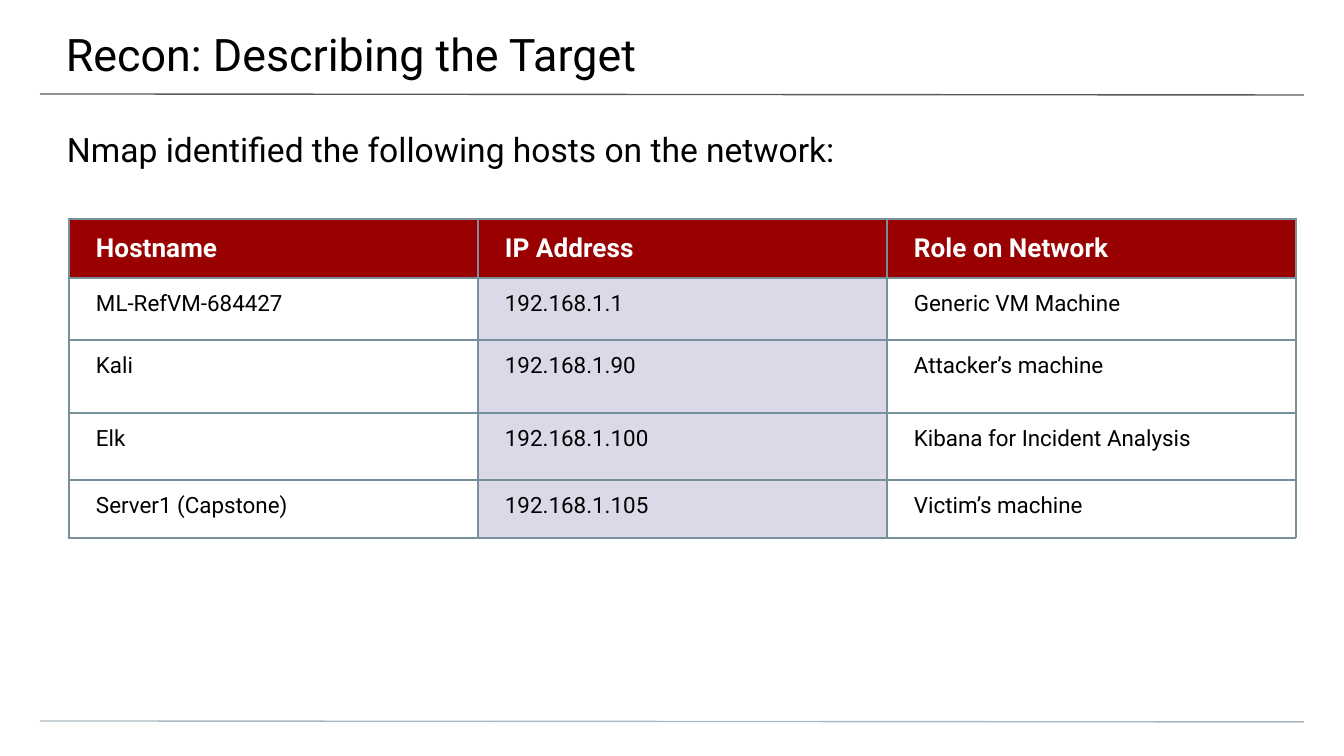
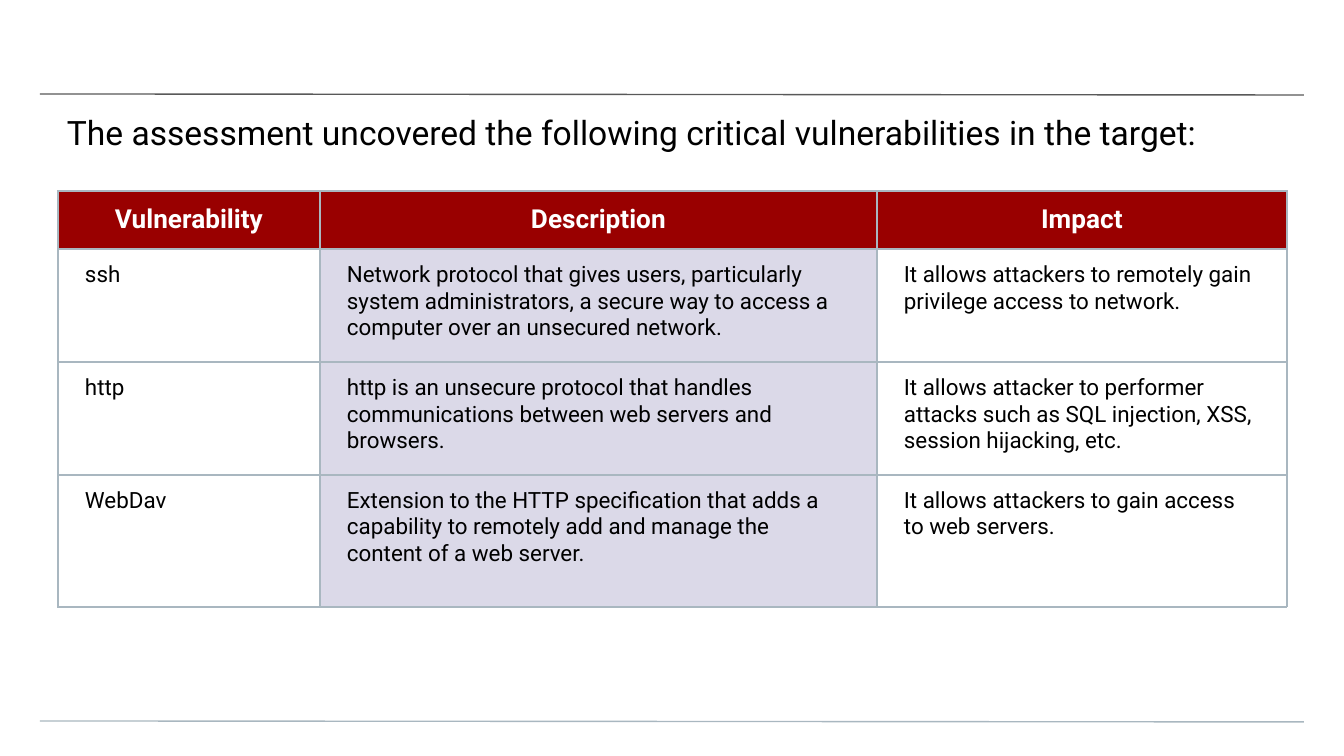
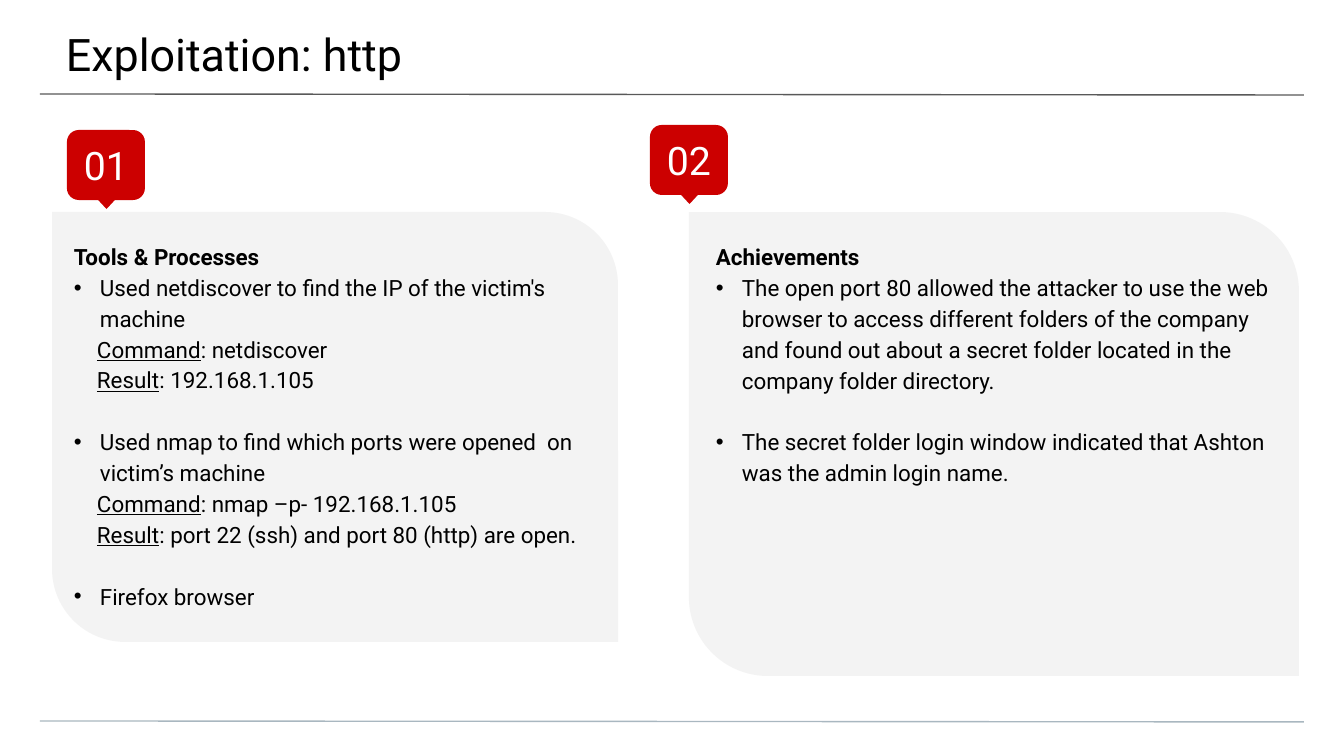
from lxml.etree import SubElement
from pptx import Presentation
from pptx.dml.color import RGBColor
from pptx.enum.shapes import MSO_CONNECTOR, MSO_SHAPE
from pptx.enum.text import MSO_ANCHOR, MSO_AUTO_SIZE, PP_ALIGN
from pptx.oxml.ns import qn
from pptx.util import Emu, Pt

PX = 914400 / 134.4
FONT = "Roboto"
BLACK = RGBColor(0x00, 0x00, 0x00)
WHITE = RGBColor(0xFF, 0xFF, 0xFF)
RULE_DARK = RGBColor(0x59, 0x59, 0x59)
RULE_LIGHT = RGBColor(0xA9, 0xB7, 0xC0)
GRID_DARK = RGBColor(0x78, 0x90, 0x9C)
HEADER_RED = RGBColor(0x99, 0x00, 0x00)
BADGE_RED = RGBColor(0xCC, 0x00, 0x00)
LILAC = RGBColor(0xDB, 0xD9, 0xE8)
CARD_GREY = RGBColor(0xF3, 0xF3, 0xF3)

TITLE_INSETS = (67, 27, 40, 13)
SUBTITLE_INSETS = (67, 13, 67, 0)
CELL_INSETS = (27, 13, 27, 13)
CARD_INSETS = (27, 27, 27, 27)
BADGE_INSETS = (13, 13, 13, 13)

TITLE = {"size": Pt(24)}
SUBTITLE = {"size": Pt(18)}
HEADER = {"size": Pt(14), "bold": True}
BODY = {"size": Pt(12), "bold": False}
HEADING = {"size": Pt(12), "bold": True}
LABEL = {"size": Pt(12), "underline": True}
BADGE = {"size": Pt(21)}

BULLET_INDENT = 26
DETAIL_INDENT = 23
BULLET_GAP = Pt(16.5)


def px(*values):
    return [Emu(round(v * PX)) for v in values]


def set_all(obj, values):
    for name, value in values.items():
        setattr(obj, name, value)


def set_frame(obj, insets, **extra):
    sides = ("margin_left", "margin_top", "margin_right", "margin_bottom")
    set_all(obj, dict(zip(sides, px(*insets)), word_wrap=True, **extra))


def add_run(p, text, fmt, color=BLACK):
    r = p.add_run()
    r.text = text
    set_all(r.font, {"name": FONT, **fmt})
    r.font.color.rgb = color


def write(tf, text, fmt, color=BLACK, align=PP_ALIGN.LEFT):
    for i, line in enumerate(text.split("\n")):
        p = tf.add_paragraph() if i else tf.paragraphs[0]
        p.alignment = align
        add_run(p, line, fmt, color)


def add_box(slide, box, insets):
    tf = slide.shapes.add_textbox(*px(*box)).text_frame
    set_frame(tf, insets, auto_size=MSO_AUTO_SIZE.NONE,
              vertical_anchor=MSO_ANCHOR.TOP)
    return tf


def add_rule(slide, y, color):
    line = slide.shapes.add_connector(
        MSO_CONNECTOR.STRAIGHT, *px(40, y, 1304, y + 1))
    line.line.color.rgb = color
    line.line.width = Pt(0.75)
    SubElement(line._element.spPr, qn("a:effectLst"))


def add_slide(prs, title=None):
    slide = prs.slides.add_slide(prs.slide_layouts[6])
    add_rule(slide, 94, RULE_DARK)
    add_rule(slide, 721, RULE_LIGHT)
    if title:
        write(add_box(slide, (-1, 0, 1348, 78), TITLE_INSETS), title, TITLE)
    return slide


def add_subtitle(slide, top, text):
    write(add_box(slide, (0, top, 1344, 54), SUBTITLE_INSETS), text, SUBTITLE)


def set_borders(cell, color):
    tc_pr = cell._tc.get_or_add_tcPr()
    for side in ("lnL", "lnR", "lnT", "lnB"):
        ln = SubElement(tc_pr, qn(f"a:{side}"), w=str(Pt(0.75)))
        fill = SubElement(ln, qn("a:solidFill"))
        SubElement(fill, qn("a:srgbClr"), val=str(color))


def add_grid(slide, left, top, widths, heights, rows, border, header_align):
    box = px(left, top, sum(widths), sum(heights))
    table = slide.shapes.add_table(len(rows), len(widths), *box).table
    set_all(table, {"first_row": False, "horz_banding": False})
    for col, width in zip(table.columns, px(*widths)):
        col.width = width
    for row, height in zip(table.rows, px(*heights)):
        row.height = height
    for i, texts in enumerate(rows):
        for j, text in enumerate(texts):
            cell = table.cell(i, j)
            set_borders(cell, border)
            anchor = MSO_ANCHOR.TOP if i else MSO_ANCHOR.MIDDLE
            set_frame(cell, CELL_INSETS, vertical_anchor=anchor)
            fill = LILAC if j == 1 else None
            if i == 0:
                fill = HEADER_RED
                write(cell.text_frame, text, HEADER, WHITE, header_align)
            else:
                write(cell.text_frame, text, BODY)
            if fill is None:
                cell.fill.background()
            else:
                cell.fill.solid()
                cell.fill.fore_color.rgb = fill


def add_filled(shapes, kind, box, color):
    sp = shapes.add_shape(kind, *px(*box))
    sp.shadow.inherit = False
    sp.fill.solid()
    sp.fill.fore_color.rgb = color
    sp.line.fill.background()
    return sp


def add_badge(slide, left, top, number):
    shapes = slide.shapes.add_group_shape().shapes
    sp = add_filled(shapes, MSO_SHAPE.ROUNDED_RECTANGLE,
                    (left, top, 78, 70), BADGE_RED)
    sp.adjustments[0] = 0.17
    set_frame(sp.text_frame, BADGE_INSETS, vertical_anchor=MSO_ANCHOR.MIDDLE)
    write(sp.text_frame, number, BADGE, WHITE, PP_ALIGN.CENTER)
    pointer = add_filled(shapes, MSO_SHAPE.FLOWCHART_EXTRACT,
                         (left + 20, top + 58, 39, 21), BADGE_RED)
    pointer.rotation = 180


def set_indent(p, left, first=0):
    left, first = px(left, first)
    p_pr = p._p.get_or_add_pPr()
    p_pr.set("marL", str(left))
    p_pr.set("indent", str(first))
    return p_pr


def add_bullet(p):
    p_pr = set_indent(p, BULLET_INDENT, -BULLET_INDENT)
    color = SubElement(p_pr, qn("a:buClr"))
    SubElement(color, qn("a:srgbClr"), val=str(BLACK))
    SubElement(p_pr, qn("a:buFont"), typeface="Arial")
    SubElement(p_pr, qn("a:buChar"), char="•")


def add_card(slide, shape_box, text_box, heading, items):
    sp = add_filled(slide.shapes, MSO_SHAPE.ROUND_2_DIAG_RECTANGLE,
                    shape_box, CARD_GREY)
    sp.adjustments[0] = 0
    sp.adjustments[1] = 0.17
    tf = add_box(slide, text_box, CARD_INSETS)
    write(tf, heading, HEADING)
    for i, (text, details) in enumerate(items):
        p = tf.add_paragraph()
        add_bullet(p)
        if i:
            p.space_before = BULLET_GAP
        add_run(p, text, BODY)
        for label, value in details:
            p = tf.add_paragraph()
            set_indent(p, DETAIL_INDENT)
            add_run(p, label, LABEL)
            add_run(p, f": {value}", BODY)
    for p in tf.paragraphs:
        p.line_spacing = 1.15


def build_recon(prs):
    slide = add_slide(prs, "Recon: Describing the Target")
    add_subtitle(slide, 116, "Nmap identified the following hosts on the network:")
    hosts = [
        ("Hostname", "IP Address", "Role on Network"),
        ("ML-RefVM-684427", "192.168.1.1", "Generic VM Machine"),
        ("Kali", "192.168.1.90", "Attacker’s machine"),
        ("Elk", "192.168.1.100", "Kibana for Incident Analysis"),
        ("Server1 (Capstone)", "192.168.1.105", "Victim’s machine"),
    ]
    add_grid(slide, 69, 219, [409] * 3, [59, 62, 73, 67, 58], hosts,
             GRID_DARK, PP_ALIGN.LEFT)


def build_vulnerabilities(prs):
    slide = add_slide(prs)
    add_subtitle(slide, 99, "The assessment uncovered the following critical "
                 "vulnerabilities in the target:")
    vulnerabilities = [
        ("Vulnerability", "Description", "Impact"),
        ("ssh",
         "Network protocol that gives users, particularly system "
         "administrators, a secure way to access a computer over an "
         "unsecured network.",
         "It allows attackers to remotely gain privilege access to network."),
        ("http",
         "http is an unsecure protocol that handles\n"
         "communications between web servers and browsers.",
         "It allows attacker to performer attacks such as SQL injection, "
         "XSS, session hijacking, etc."),
        ("WebDav",
         "Extension to the HTTP specification that adds a capability to "
         "remotely add and manage the content of a web server.",
         "It allows attackers to gain access to web servers."),
    ]
    add_grid(slide, 58, 191, [262, 557, 410], [58, 113, 113, 132],
             vulnerabilities, RULE_LIGHT, PP_ALIGN.CENTER)


def build_exploitation(prs):
    slide = add_slide(prs, "Exploitation: http")
    tools = [
        ("Used netdiscover to find the IP of the victim's machine",
         [("Command", "netdiscover"), ("Result", "192.168.1.105")]),
        ("Used nmap to find which ports were opened  on victim’s machine",
         [("Command", "nmap –p- 192.168.1.105"),
          ("Result", "port 22 (ssh) and port 80 (http) are open.")]),
        ("Firefox browser", []),
    ]
    achievements = [
        ("The open port 80 allowed the attacker to use the web browser to "
         "access different folders of the company and found out about a "
         "secret folder located in the company folder directory.", []),
        ("The secret folder login window indicated that Ashton was the "
         "admin login name.", []),
    ]
    add_card(slide, (52, 212, 566, 430), (47, 212, 577, 414),
             "Tools & Processes", tools)
    add_badge(slide, 67, 130, "01")
    add_badge(slide, 650, 125, "02")
    right_box = (689, 212, 610, 464)
    add_card(slide, right_box, right_box, "Achievements", achievements)


def main():
    prs = Presentation()
    prs.slide_width, prs.slide_height = px(1344, 756)
    build_recon(prs)
    build_vulnerabilities(prs)
    build_exploitation(prs)
    prs.save("out.pptx")


if __name__ == "__main__":
    main()
